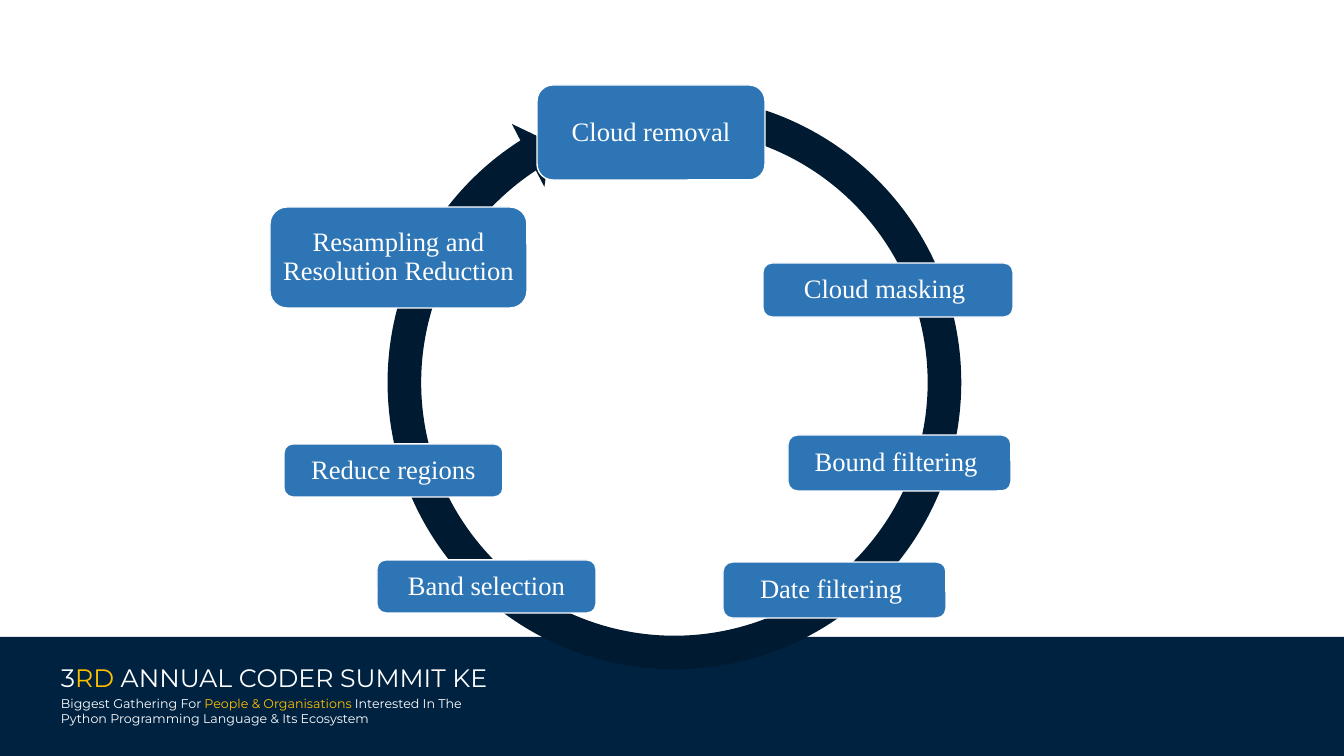
"""Builds a slide showing a satellite image processing cycle."""
import pptx
import pptx.dml.color
import pptx.enum.shapes
import pptx.enum.text
import pptx.util

SLIDE_WIDTH, SLIDE_HEIGHT = 1344, 756
EMU_PER_PX = 12192000 / SLIDE_WIDTH
ADJUSTMENT_PER_DEGREE = 0.6
NAVY, RING, BLUE, WHITE, GOLD = "002241", "001A31", "2E75B5", "FFFFFF", "FFC000"


def px(length):
    return pptx.util.Emu(round(length * EMU_PER_PX))


def colour(hex_string):
    return pptx.dml.color.RGBColor.from_string(hex_string)


class CycleSlide:
    def __init__(self, slide):
        self.slide = slide
        self.heading_font = "Montserrat"
        self.label_font = "Times New Roman"
        self.label_size = 19

    def preset(self, kind, box, fill, line=None):
        shape = self.slide.shapes.add_shape(kind, *(px(length) for length in box))
        shape.shadow.inherit = False
        shape.fill.solid()
        shape.fill.fore_color.rgb = colour(fill)
        if line:
            shape.line.color.rgb = colour(line)
            shape.line.width = pptx.util.Pt(1)
        else:
            shape.line.fill.background()
        return shape

    def run(self, paragraph, text, font, size, hex_string):
        run = paragraph.add_run()
        run.text = text
        run.font.name = font
        run.font.size = pptx.util.Pt(size)
        run.font.color.rgb = colour(hex_string)

    def band(self, *box):
        self.preset(pptx.enum.shapes.MSO_SHAPE.RECTANGLE, box, NAVY)

    def caption(self, box, size, lines):
        text_box = self.slide.shapes.add_textbox(*(px(length) for length in box))
        frame = text_box.text_frame
        frame.word_wrap = True
        for index, runs in enumerate(lines):
            paragraph = frame.add_paragraph() if index else frame.paragraphs[0]
            for text, hex_string in runs:
                self.run(paragraph, text, self.heading_font, size, hex_string)

    def ring_arrow(self, box, thickness, head_half_width, head_angle, end, start):
        shape = self.preset(pptx.enum.shapes.MSO_SHAPE.CIRCULAR_ARROW, box, RING)
        angles = [angle * ADJUSTMENT_PER_DEGREE for angle in (head_angle, end, start)]
        for index, value in enumerate([thickness, *angles, head_half_width]):
            shape.adjustments[index] = value

    def step(self, text, *box):
        kind = pptx.enum.shapes.MSO_SHAPE.ROUNDED_RECTANGLE
        frame = self.preset(kind, box, BLUE, WHITE).text_frame
        frame.word_wrap = True
        frame.vertical_anchor = pptx.enum.text.MSO_ANCHOR.MIDDLE
        frame.margin_left = frame.margin_right = px(6)
        frame.margin_top = frame.margin_bottom = px(8)
        paragraph = frame.paragraphs[0]
        paragraph.alignment = pptx.enum.text.PP_ALIGN.CENTER
        paragraph.line_spacing = 0.9
        self.run(paragraph, text, self.label_font, self.label_size, WHITE)


def main():
    presentation = pptx.Presentation()
    presentation.slide_width = px(SLIDE_WIDTH)
    presentation.slide_height = px(SLIDE_HEIGHT)
    cycle = CycleSlide(presentation.slides.add_slide(presentation.slide_layouts[6]))

    cycle.band(0, 637, SLIDE_WIDTH, 119)
    cycle.caption((51, 657, 547, 40), 18, [
        [("3", WHITE), ("RD", GOLD), (" ANNUAL CODER SUMMIT KE", WHITE)],
    ])
    cycle.caption((51, 691, 466, 40), 9, [
        [("Biggest Gathering For ", WHITE), ("People & Organisations ", GOLD),
         ("Interested In The", WHITE)],
        [("Python Programming Language & Its Ecosystem", WHITE)],
    ])

    cycle.ring_arrow((369, 77, 611, 611), thickness=0.055, head_half_width=0.058,
                     head_angle=5.5, end=237.2, start=285.4)
    steps = [
        ("Cloud removal", 537, 85, 228, 95),
        ("Cloud masking ", 763, 263, 250, 54),
        ("Bound filtering ", 788, 435, 223, 56),
        ("Date filtering ", 723, 562, 223, 56),
        ("Band selection", 377, 560, 219, 53),
        ("Reduce regions", 284, 444, 219, 53),
        ("Resampling and Resolution Reduction", 270, 207, 257, 101),
    ]
    for step in steps:
        cycle.step(*step)

    presentation.save("out.pptx")


if __name__ == "__main__":
    main()
